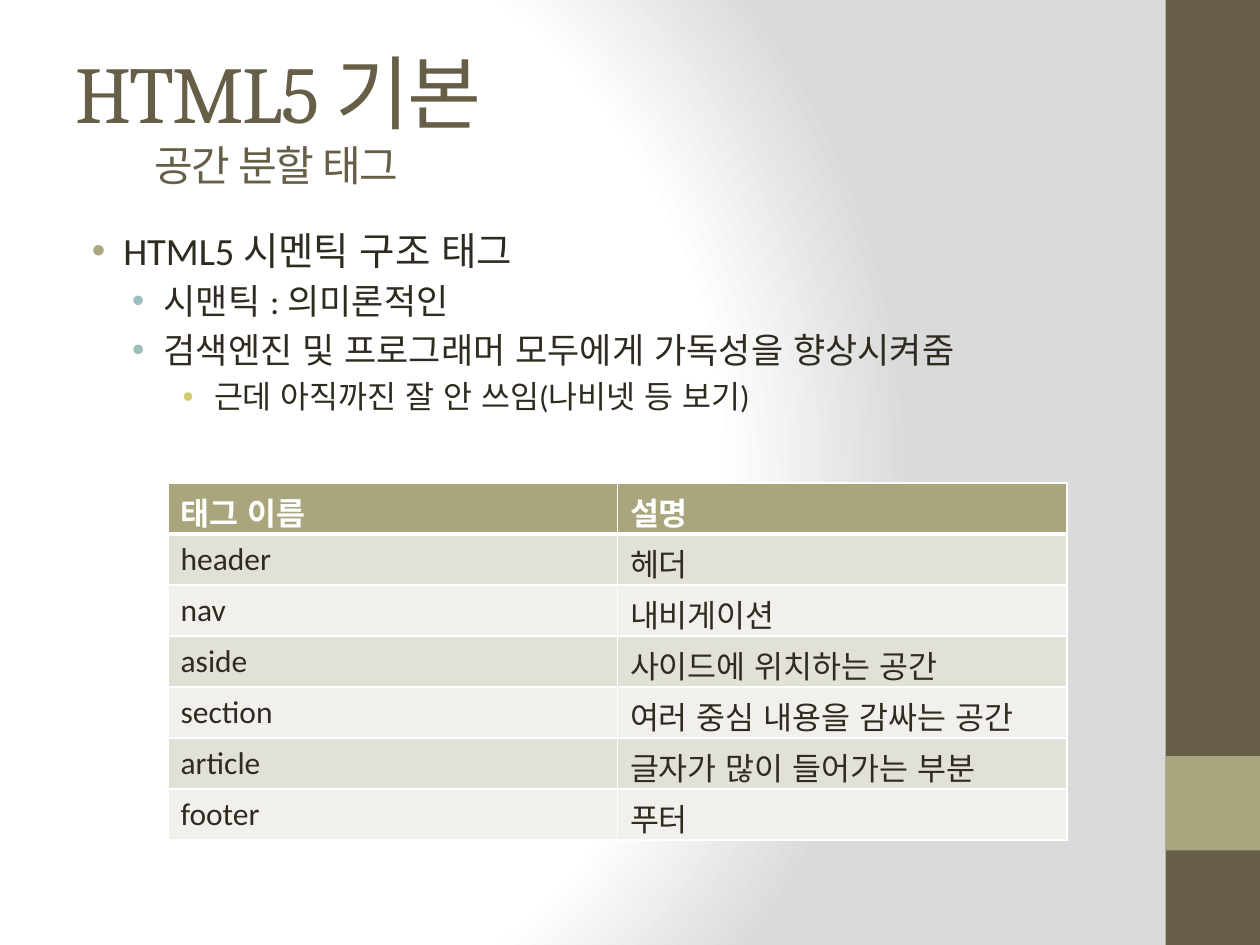
import pptx
import pptx.dml.color
import pptx.enum.lang
import pptx.enum.shapes
import pptx.enum.text
import pptx.oxml
import pptx.oxml.ns
import pptx.util

COLORS = {
    "brown": "675E47", "olive": "A9A57C", "teal": "9CBEBD", "yellow": "D2CB6C",
    "ink": "2F2B20", "white": "FFFFFF", "gray": "DADADA",
    "band_dark": "E2E1D7", "band_light": "F1F0EC",
}
HEADING, BODY = "Cambria", "Calibri"
COLUMNS, ROWS = 120, 90
NS = pptx.oxml.ns.nsdecls("a", "p")

# size, left margin in inches, bullet colour
LEVELS = [(22, 0.38, "olive"), (20, 0.7, "teal"), (18, 1.1, "yellow")]
BULLETS = [
    (0, "HTML5 시멘틱 구조 태그"),
    (1, "시맨틱 : 의미론적인"),
    (1, "검색엔진 및 프로그래머 모두에게 가독성을 향상시켜줌"),
    (2, "근데 아직까진 잘 안 쓰임(나비넷 등 보기)"),
]
TAGS = [
    ("태그 이름", "설명"),
    ("header", "헤더"),
    ("nav", "내비게이션"),
    ("aside", "사이드에 위치하는 공간"),
    ("section", "여러 중심 내용을 감싸는 공간"),
    ("article", "글자가 많이 들어가는 부분"),
    ("footer", "푸터"),
]


def rgb(name):
    return pptx.dml.color.RGBColor.from_string(COLORS[name])


def color_xml(name):
    return f'<a:srgbClr val="{COLORS[name]}"/>'


def element(xml):
    """Build a fragment whose opening tag holds {ns} for the namespaces."""
    return pptx.oxml.parse_xml(xml.replace("{ns}", NS))


class Deck:
    def __init__(self):
        self.prs = pptx.Presentation()
        self.prs.slide_width = pptx.util.Inches(10)
        self.prs.slide_height = pptx.util.Inches(7.5)
        self.s = self.prs.slides.add_slide(self.prs.slide_layouts[6])

    def box(self, col, row, cols, rows):
        """Turn grid columns and rows into left, top, width and height."""
        w = self.prs.slide_width / COLUMNS
        h = self.prs.slide_height / ROWS
        return [round(v) for v in (col * w, row * h, cols * w, rows * h)]

    def background(self):
        stops = "".join(
            f'<a:gs pos="{pos * 1000}">{color_xml(name)}</a:gs>'
            for pos, name in [(0, "white"), (75, "white"), (100, "gray")])
        self.s.element.cSld.insert(0, element(
            '<p:bg {ns}><p:bgPr><a:gradFill rotWithShape="1">'
            f'<a:gsLst>{stops}</a:gsLst><a:path path="circle">'
            '<a:fillToRect l="20000" t="50000" r="100000" b="50000"/>'
            '</a:path></a:gradFill><a:effectLst/></p:bgPr></p:bg>'))

    def block(self, color, *grid):
        sp = self.s.shapes.add_shape(
            pptx.enum.shapes.MSO_SHAPE.RECTANGLE, *self.box(*grid))
        sp.shadow.inherit = False
        sp.fill.solid()
        sp.fill.fore_color.rgb = rgb(color)
        sp.line.fill.background()

    def text_frame(self, *grid):
        tf = self.s.shapes.add_textbox(*self.box(*grid)).text_frame
        tf.word_wrap = True
        return tf

    def set_text(self, p, text, size, color="ink", font=BODY, bold=False):
        p.text = text
        for r in p.runs:
            r.font.size = pptx.util.Pt(size)
            r.font.name = font
            r.font.bold = bold
            r.font.color.rgb = rgb(color)
            r.font.language_id = pptx.enum.lang.MSO_LANGUAGE_ID.KOREAN

    def title(self, title, subtitle, *grid):
        tf = self.text_frame(*grid)
        tf.vertical_anchor = pptx.enum.text.MSO_ANCHOR.MIDDLE
        self.set_text(tf.paragraphs[0], title, 46, "brown", HEADING)
        p = tf.add_paragraph()
        self.set_text(p, subtitle, 24, "brown", HEADING)
        p._p.get_or_add_pPr().set("marL", str(pptx.util.Inches(0.63)))
        for p in tf.paragraphs:
            for r in p.runs:
                r._r.get_or_add_rPr().set("spc", "-100")

    def bullets(self, items, *grid):
        tf = self.text_frame(*grid)
        for i, (level, text) in enumerate(items):
            size, margin, color = LEVELS[level]
            p = tf.add_paragraph() if i else tf.paragraphs[0]
            self.set_text(p, text, size)
            p.level = level
            pPr = p._p.get_or_add_pPr()
            pPr.set("marL", str(pptx.util.Inches(margin)))
            pPr.set("indent", str(pptx.util.Inches(-0.25)))
            for xml in ('<a:spcBef {ns}><a:spcPct val="20000"/></a:spcBef>',
                        '<a:buClr {ns}>' + color_xml(color) + '</a:buClr>',
                        '<a:buFont {ns} typeface="Arial"/>',
                        '<a:buChar {ns} char="•"/>'):
                pPr.append(element(xml))

    def borders(self, cell, top, bottom):
        """Draw white cell borders; top and bottom are widths in points."""
        tcPr = cell._tc.get_or_add_tcPr()
        widths = {"lnL": 1, "lnR": 1, "lnT": top, "lnB": bottom}
        for i, (tag, width) in enumerate(widths.items()):
            tcPr.insert(i, element(
                f'<a:{tag} {{ns}} w="{pptx.util.Pt(width)}"><a:solidFill>'
                f'{color_xml("white")}</a:solidFill></a:{tag}>'))

    def table(self, rows, *grid):
        table = self.s.shapes.add_table(
            len(rows), len(rows[0]), *self.box(*grid)).table
        for i, row in enumerate(rows):
            header = i == 0
            fill = "olive" if header else "band_dark" if i % 2 else "band_light"
            for j, text in enumerate(row):
                cell = table.cell(i, j)
                cell.fill.solid()
                cell.fill.fore_color.rgb = rgb(fill)
                self.borders(cell, 3 if i == 1 else 1, 3 if header else 1)
                self.set_text(cell.text_frame.paragraphs[0], text, 18,
                              "white" if header else "ink", bold=header)


def main():
    deck = Deck()
    deck.background()
    deck.block("brown", 111, 0, 9, 90)
    deck.block("olive", 111, 72, 9, 9)
    deck.bullets(BULLETS, 6, 21, 104, 63)
    deck.title("HTML5 기본", "공간 분할 태그", 6, 3.6, 100, 15)
    deck.table(TAGS, 16, 46, 85.6, 34)
    deck.prs.save("out.pptx")


if __name__ == "__main__":
    main()
